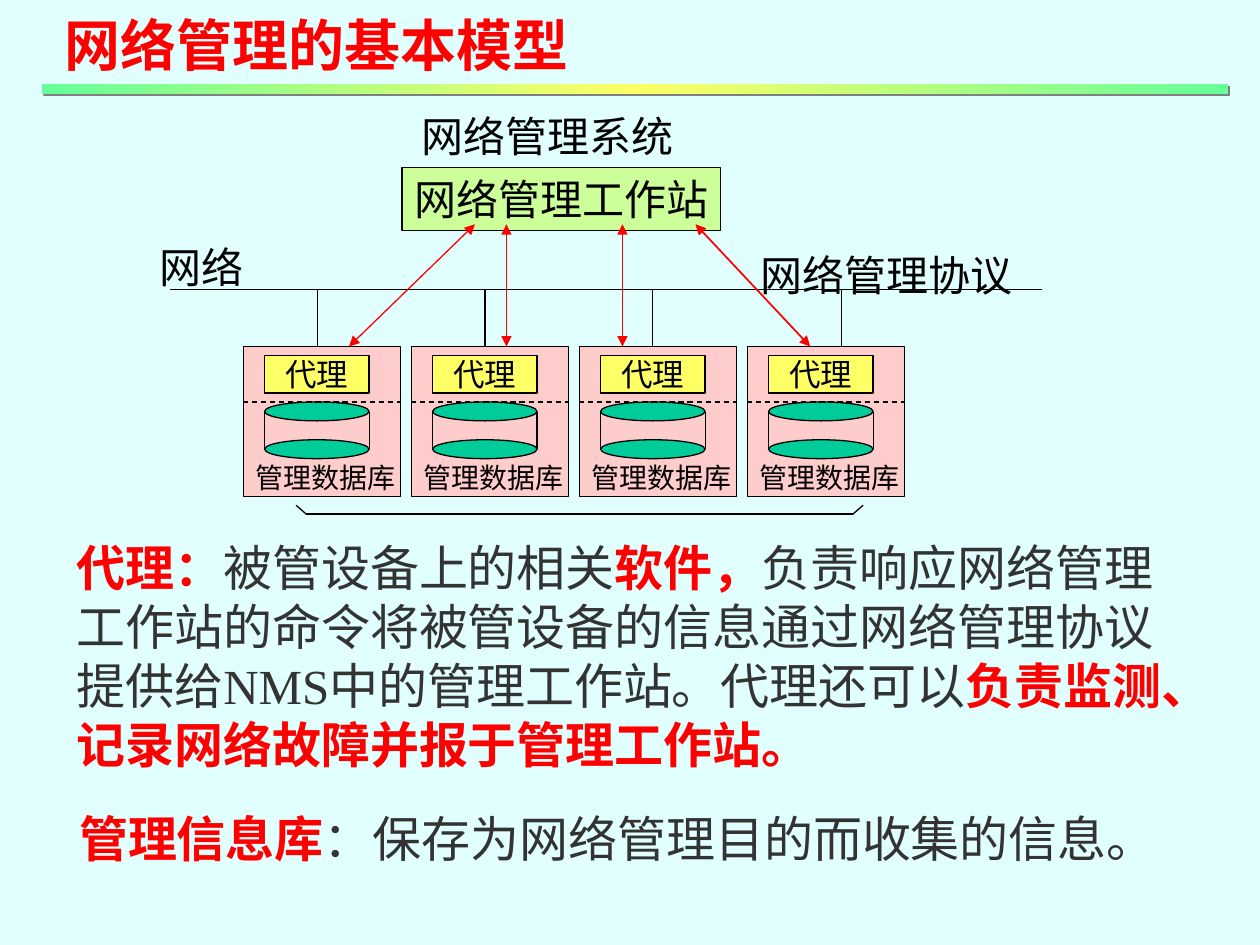
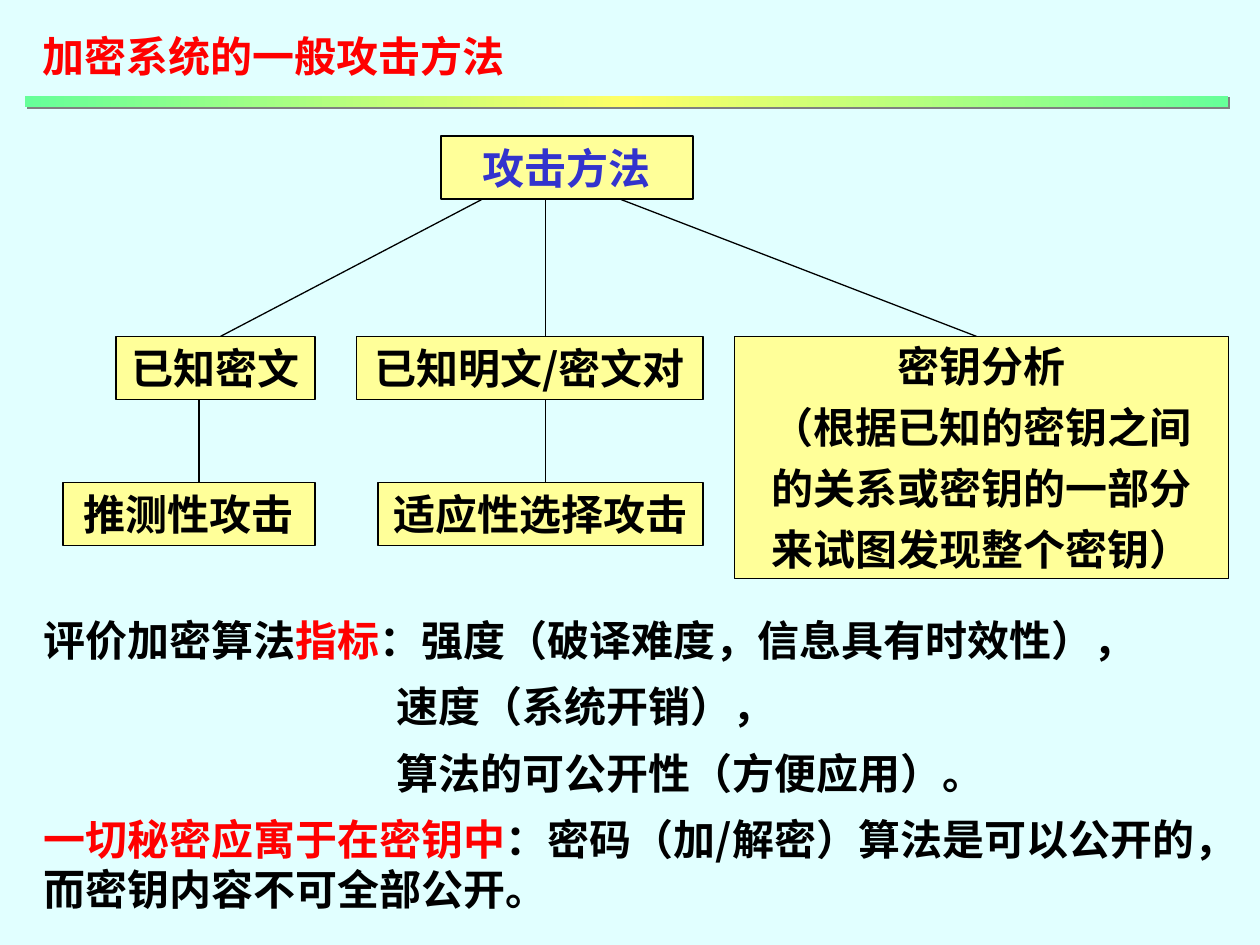
from lxml import etree
from pptx import Presentation
from pptx import util as u
from pptx.dml.color import RGBColor
from pptx.enum import dml, shapes, text
from pptx.oxml import ns

SERIF = "Times New Roman"
SANS = "Noto Sans CJK SC"
RED, BLACK, GREY = "FF0000", "000000", "333333"
PALE_CYAN, PALE_YELLOW = "E1FFFF", "FFFF99"
BAND_STOPS = [(0, "66FF99"), (50000, "FFFF66"), (100000, "66FF99")]


def rgb(value):
    return RGBColor.from_string(value)


def add_xml(parent, tag, **attributes):
    return etree.SubElement(parent, ns.qn(tag), attributes)


def write(frame, paragraphs, size=24, color=BLACK, bold=False, font=SERIF,
          align=text.PP_ALIGN.LEFT, anchor=text.MSO_ANCHOR.TOP, wrap=False,
          before=0, after=0, indents=None):
    frame.word_wrap = wrap
    frame.vertical_anchor = anchor
    frame.margin_left = frame.margin_right = u.Inches(0.1)
    frame.margin_top = frame.margin_bottom = u.Inches(0.05)
    for index, runs in enumerate(paragraphs):
        paragraph = frame.add_paragraph() if index else frame.paragraphs[0]
        paragraph.alignment = align
        paragraph.space_before = u.Pt(before if index else 0)
        paragraph.space_after = u.Pt(after)
        if indents and indents[index]:
            paragraph._p.get_or_add_pPr().set("marL", str(u.Inches(indents[index])))
        for part in [runs] if isinstance(runs, str) else runs:
            words, run_color, run_bold = (part, color, bold) if isinstance(part, str) else part
            run = paragraph.add_run()
            run.text = words
            run.font.size = u.Pt(size)
            run.font.bold = run_bold
            run.font.name = font
            run.font.color.rgb = rgb(run_color)
            add_xml(run.font._element, "a:ea", typeface=SANS)


class Deck:
    def __init__(self):
        self.prs = Presentation()
        self.prs.slide_width, self.prs.slide_height = u.Inches(10), u.Inches(7.5)
        background = self.prs.slide_master.background.fill
        background.solid()
        background.fore_color.rgb = rgb(PALE_CYAN)
        self.slide = None

    def new_slide(self, heading, heading_box, band_box, **style):
        self.slide = self.prs.slides.add_slide(self.prs.slide_layouts[5])
        title = self.slide.shapes.title
        title.left, title.top, title.width, title.height = map(u.Inches, heading_box)
        title.text_frame.auto_size = text.MSO_AUTO_SIZE.NONE
        write(title.text_frame, [heading], color=RED, bold=True, wrap=True, **style)
        self.band(band_box)

    def band(self, box):
        band = self.box(box, BLACK, outlined=False)
        band.fill.gradient()
        band.fill.gradient_angle = 0
        properties = band._element.spPr
        stops = properties.find(".//" + ns.qn("a:gsLst"))
        for stop in list(stops):
            stops.remove(stop)
        for position, color in BAND_STOPS:
            add_xml(add_xml(stops, "a:gs", pos=str(position)), "a:srgbClr", val=color)
        shadow = add_xml(properties.find(ns.qn("a:effectLst")), "a:outerShdw",
                         dist=str(u.Pt(1.4)), dir="2700000", algn="ctr", rotWithShape="0")
        add_xml(shadow, "a:srgbClr", val="808080")

    def box(self, box, fill, kind=shapes.MSO_SHAPE.RECTANGLE, outlined=True):
        shape = self.slide.shapes.add_shape(kind, *map(u.Inches, box))
        shape.shadow.inherit = False
        shape.fill.solid()
        shape.fill.fore_color.rgb = rgb(fill)
        if outlined:
            shape.line.color.rgb = rgb(BLACK)
            shape.line.width = u.Pt(0.75)
        else:
            shape.line.fill.background()
        return shape

    def node(self, box, fill, paragraphs, **style):
        centred = dict(align=text.PP_ALIGN.CENTER, anchor=text.MSO_ANCHOR.MIDDLE)
        write(self.box(box, fill).text_frame, paragraphs, **{**centred, **style})

    def label(self, box, paragraphs, **style):
        frame = self.slide.shapes.add_textbox(*map(u.Inches, box)).text_frame
        write(frame, paragraphs, **style)
        frame.auto_size = text.MSO_AUTO_SIZE.SHAPE_TO_FIT_TEXT

    def line(self, x1, y1, x2, y2, color=BLACK, width=0.75, dashed=False, arrows=False):
        line = self.slide.shapes.add_connector(
            shapes.MSO_CONNECTOR.STRAIGHT, *map(u.Inches, (x1, y1, x2, y2)))
        line.line.color.rgb = rgb(color)
        line.line.width = u.Pt(width)
        if dashed:
            line.line.dash_style = dml.MSO_LINE.DASH
        if arrows:
            for end in ("a:headEnd", "a:tailEnd"):
                add_xml(line.line._get_or_add_ln(), end, type="triangle")
        add_xml(line._element.spPr, "a:effectLst")

    def managed_device(self, left):
        inner, width = left + 0.17, 0.83
        self.box((left, 2.75, 1.25, 1.19), "FFCCCC")
        self.node((inner, 2.82, width, 0.3), "FFFF66", ["代理"], size=18)
        for top in (3.19, 3.49):
            self.box((inner, top, width, 0.15), "00CC99", shapes.MSO_SHAPE.OVAL)
        for side in (inner, inner + width):
            self.line(side, 3.27, side, 3.56)
        self.label((left, 3.61, 1.33, 0.37), ["管理数据库"], size=16, wrap=True)
        self.line(left, 3.19, left + 1.25, 3.19, dashed=True)


def management_model(deck):
    deck.new_slide("网络管理的基本模型", (0.41, 0.03, 4.5, 0.64),
                   (0.33, 0.67, 9.42, 0.08), size=32)
    deck.node((3.19, 1.33, 2.53, 0.5), "CCFF99", ["网络管理工作站"],
              align=text.PP_ALIGN.LEFT, anchor=text.MSO_ANCHOR.TOP)
    for index in range(4):
        deck.managed_device(1.93 + index * 4 / 3)

    deck.line(1.35, 2.3, 8.27, 2.3)
    for drop in (2.52, 3.85, 5.18, 6.68):
        deck.line(drop, 2.3, drop, 2.75)
    deck.label((1.17, 1.87, 1, 0.5), ["网络"], wrap=True)
    deck.label((3.25, 0.83, 2.3, 0.5), ["网络管理系统"], wrap=True)
    deck.label((5.94, 1.93, 2.3, 0.5), ["网络管理协议"], wrap=True)
    for station_x, agent_x, width in ((3.77, 2.77, 0.75), (4.02, 4.02, 0.75),
                                      (4.94, 4.94, 0.75), (5.52, 6.43, 1)):
        deck.line(station_x, 1.78, agent_x, 2.75, RED, width, arrows=True)

    deck.line(2.43, 4.08, 6.77, 4.08)
    for outer, corner in ((2.35, 2.43), (6.85, 6.77)):
        deck.line(outer, 4.01, corner, 4.08)

    deck.label((0.51, 4.22, 8.93, 1.97), [[
        ("代理：", RED, True), "被管设备上的相关", ("软件，", RED, True),
        "负责响应网络管理工作站的命令将被管设备的信息通过网络管理协议"
        "提供给NMS中的管理工作站。代理还可以",
        ("负责监测、记录网络故障并报于管理工作站。", RED, True),
    ]], size=28, color=GREY, wrap=True)
    deck.label((0.53, 6.37, 9, 0.57), [[
        ("管理信息库", RED, True), "：保存为网络管理目的而收集的信息。",
    ]], size=28, color=GREY, wrap=True)


def attack_methods(deck):
    deck.new_slide("加密系统的一般攻击方法", (0.24, 0.19, 4.2, 0.5),
                   (0.2, 0.76, 9.55, 0.09), font=SANS)
    deck.node((3.5, 1.08, 2, 0.5), PALE_YELLOW, ["攻击方法"],
              color="3333CD", bold=True, font=SANS)
    key_analysis = ["密钥分析", "（根据已知的密钥之间", "的关系或密钥的一部分", "来试图发现整个密钥）"]
    for box, method in (((0.92, 2.67, 1.58, 0.5), ["已知密文"]),
                        ((2.83, 2.67, 2.75, 0.5), ["已知明文/密文对"]),
                        ((5.83, 2.67, 3.92, 1.92), key_analysis),
                        ((0.5, 3.83, 2, 0.5), ["推测性攻击"]),
                        ((3, 3.83, 2.58, 0.5), ["适应性选择攻击"])):
        deck.node(box, PALE_YELLOW, method, bold=True, font=SANS, before=6)
    for root_x, method_x in ((4.33, 4.33), (3.83, 1.75), (4.92, 7.75)):
        deck.line(root_x, 1.58, method_x, 2.67)
    for branch_x in (4.33, 1.58):
        deck.line(branch_x, 3.17, branch_x, 3.83)

    deck.label((0.25, 4.83, 9.4, 2.48), [
        ["评价加密算法", ("指标", RED, True), "：强度（破译难度，信息具有时效性），"],
        "速度（系统开销），",
        "算法的可公开性（方便应用）。",
        [("一切秘密应寓于在密钥中", RED, True),
         "：密码（加/解密）算法是可以公开的，而密钥内容不可全部公开。"],
    ], bold=True, font=SANS, wrap=True, before=3, after=6, indents=(0, 2.8, 2.8, 0))


def main():
    deck = Deck()
    management_model(deck)
    attack_methods(deck)
    deck.prs.save("out.pptx")


if __name__ == "__main__":
    main()
